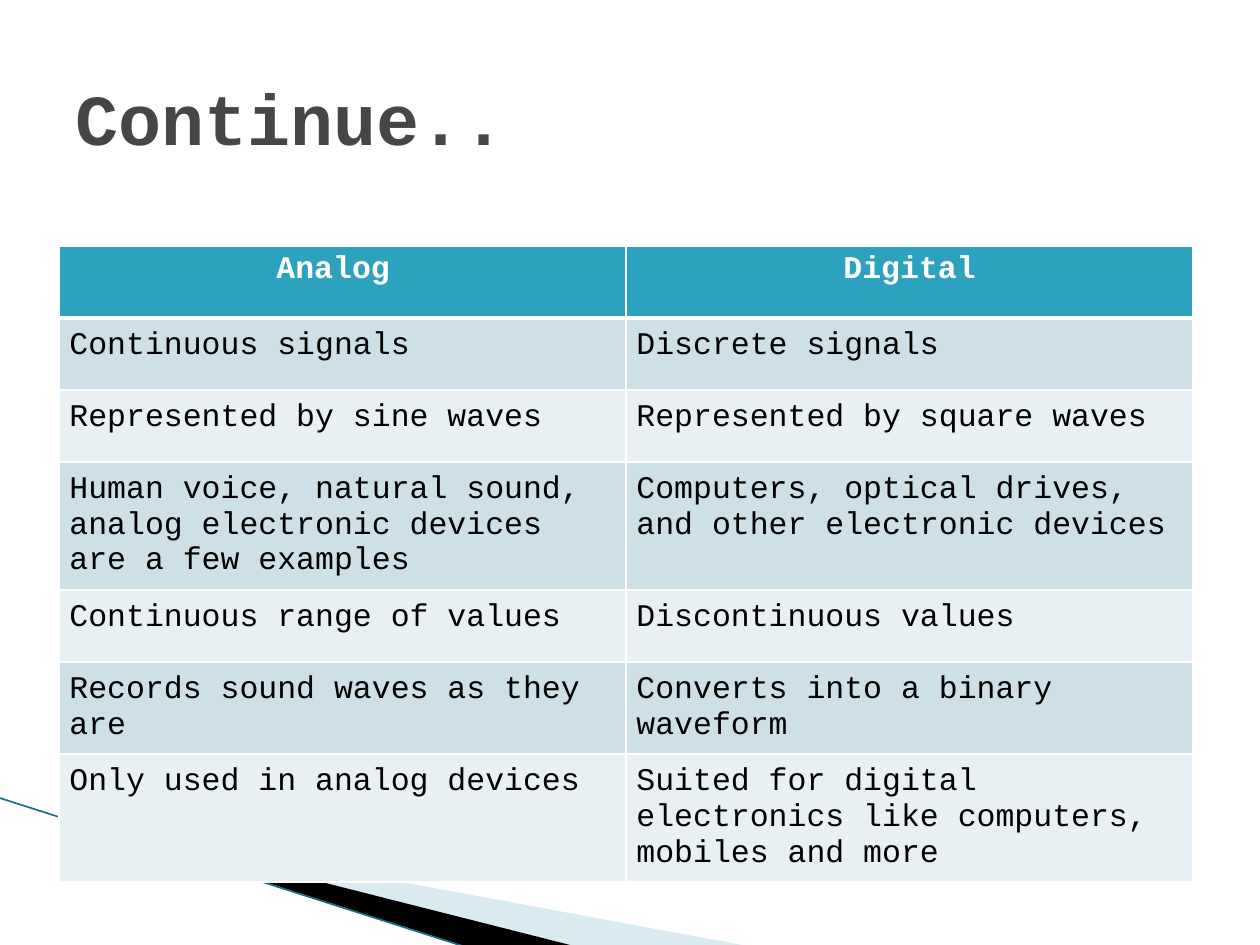
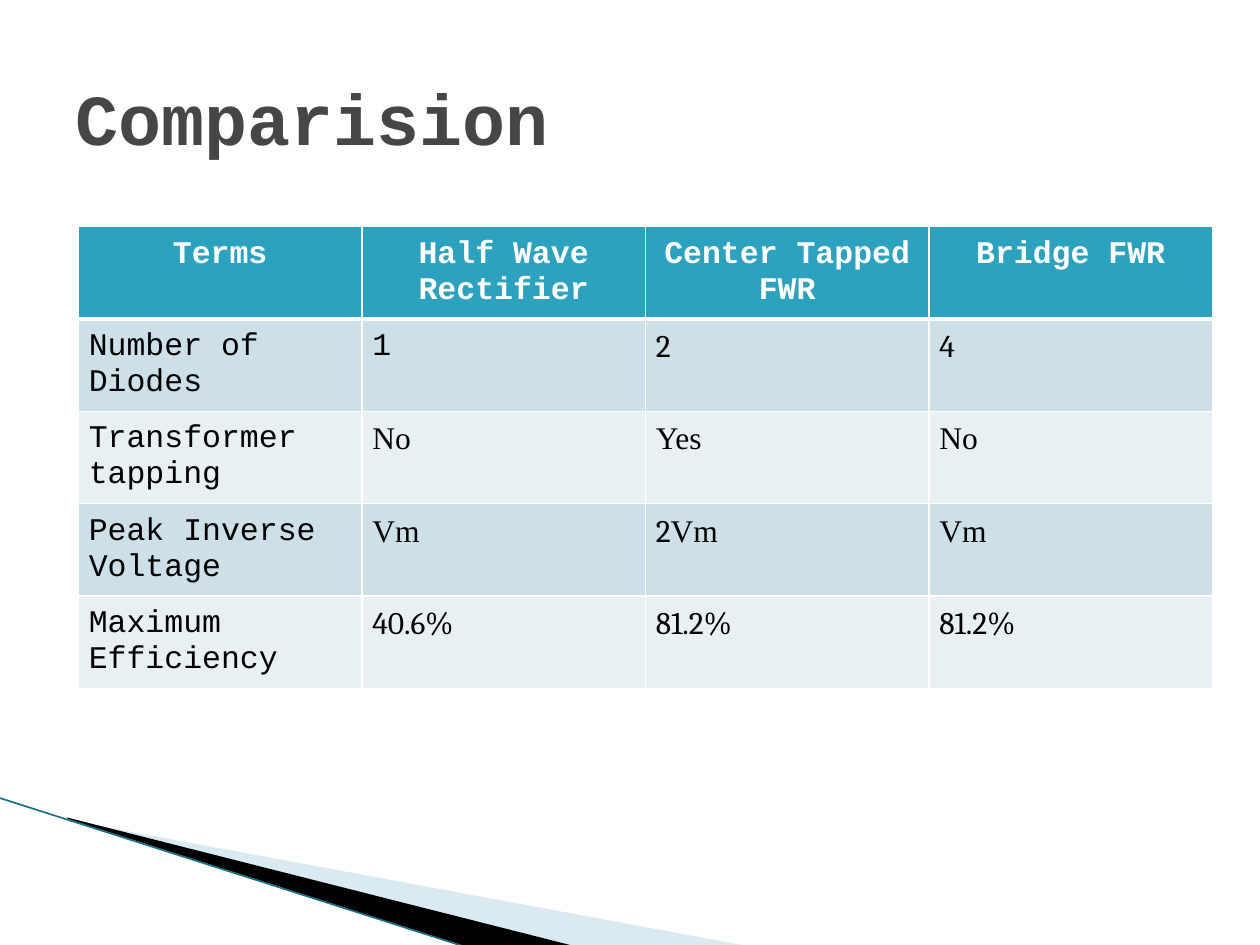
"""Build two comparison-table slides on a shared wedge background."""
from dataclasses import dataclass
from typing import Any, NamedTuple, Union

from lxml.etree import SubElement
from pptx import Presentation
from pptx.dml.color import RGBColor
from pptx.enum.shapes import MSO_CONNECTOR
from pptx.enum.text import MSO_ANCHOR, PP_ALIGN
from pptx.oxml.ns import qn
from pptx.util import Cm, Pt

COLORS = {
    "title": "464646", "header": "2DA2BF", "odd": "CDE0E8", "even": "E8F0F4",
    "white": "FFFFFF", "black": "000000", "wedge": "A0CBDC", "edge": "1B6E83",
}
MONO, SERIF, ROMAN = "Courier New", "Cambria", "Times New Roman"
TITLE_FONT = {"name": MONO, "size": Pt(41), "bold": True}
HEADER_FONT = {"name": MONO, "size": Pt(18), "bold": True}
BODY_FONT = {"name": MONO, "size": Pt(18), "bold": False}
MARGINS = ("margin_left", "margin_right", "margin_top", "margin_bottom")
CELL_INSETS = dict.fromkeys(MARGINS, Cm(0.21))
TIGHT_INSETS = dict(zip(MARGINS, (Cm(0.25), Cm(0.25), Cm(0.13), Cm(0.13))))


class Styled(NamedTuple):
    text: str
    font: str


class Frame(NamedTuple):
    left: float
    top: float
    width: float
    height: float


Cell = Union[str, Styled, list[Styled]]


@dataclass
class Wedge:
    points: list[tuple[float, float]]
    frame: Frame
    color: str
    alpha: int = 100


@dataclass
class TableSlide:
    title: str
    left: float
    top: float
    width: float
    row_heights: list[float]
    rows: list[list[Cell]]
    header_insets: dict[str, Any]


WEDGES = [
    Wedge([(1.4, 16.54), (15.11, 19.08), (11.58, 19.08), (1.4, 16.51)],
          Frame(1.98, 13.89, 10.57, 4.01), "wedge", 40),
    Wedge([(1.35, 16.48), (11.61, 19.08), (9.45, 19.1), (1.37, 16.51)],
          Frame(-0.15, 16.08, 10.57, 2.34), "black"),
]

SLIDES = [
    TableSlide(
        "Continue..", 1.19, 4.96, 22.86, [1.45, 1.45, 1.45, 2.13, 1.45, 1.45, 2.13],
        [
            ["Analog ", "Digital"],
            ["Continuous signals", "Discrete signals"],
            ["Represented by sine waves", "Represented by square waves"],
            ["Human voice, natural sound, analog electronic devices are a few examples",
             "Computers, optical drives, and other electronic devices"],
            ["Continuous range of values", "Discontinuous values"],
            ["Records sound waves as they are", "Converts into a binary waveform"],
            ["Only used in analog devices",
             "Suited for digital electronics like computers, mobiles and more"],
        ],
        TIGHT_INSETS,
    ),
    TableSlide(
        "Comparision", 1.58, 4.57, 22.86, [1.04] * 5,
        [
            ["Terms", "Half Wave Rectifier", "Center Tapped FWR", "Bridge FWR"],
            ["Number of Diodes", "1", Styled("2", SERIF), Styled("4", SERIF)],
            ["Transformer tapping"] + [Styled(t, ROMAN) for t in ("No", "Yes", "No")],
            ["Peak Inverse Voltage", Styled("Vm", ROMAN),
             [Styled("2", SERIF), Styled("Vm", ROMAN)], Styled("Vm", ROMAN)],
            ["Maximum Efficiency"]
            + [Styled(t, SERIF) for t in ("40.6%", "81.2%", "81.2%")],
        ],
        CELL_INSETS,
    ),
]


def rgb(key: str) -> RGBColor:
    return RGBColor.from_string(COLORS[key])


def apply(target: Any, fmt: dict[str, Any]) -> None:
    for name, value in fmt.items():
        setattr(target, name, value)


def add_run(p: Any, text: str, fmt: dict[str, Any], color: str) -> None:
    r = p.add_run()
    r.text = text
    apply(r.font, fmt)
    r.font.color.rgb = rgb(color)


def set_frame(sp: Any, frame: Frame) -> None:
    box = {name: Cm(value) for name, value in frame._asdict().items()}
    dx, dy = sp.left - box["left"], sp.top - box["top"]
    for pt in sp._element.iter(qn("a:pt")):
        pt.set("x", str(int(pt.get("x")) + dx))
        pt.set("y", str(int(pt.get("y")) + dy))
    for outline in sp._element.iter(qn("a:path")):
        outline.set("w", str(box["width"]))
        outline.set("h", str(box["height"]))
    apply(sp, box)


def draw_wedge(s: Any, wedge: Wedge) -> None:
    start, *rest = [(Cm(x), Cm(y)) for x, y in wedge.points]
    builder = s.shapes.build_freeform(*start)
    builder.add_line_segments(rest, close=True)
    sp = builder.convert_to_shape()
    set_frame(sp, wedge.frame)
    sp.shadow.inherit = False
    sp.line.fill.background()
    sp.fill.solid()
    sp.fill.fore_color.rgb = rgb(wedge.color)
    if wedge.alpha < 100:
        clr = sp._element.spPr.find(qn("a:solidFill"))[0]
        SubElement(clr, qn("a:alpha"), val=str(wedge.alpha * 1000))


def draw_background(s: Any) -> None:
    for wedge in WEDGES:
        draw_wedge(s, wedge)
    edge = s.shapes.add_connector(
        MSO_CONNECTOR.STRAIGHT, Cm(-0.03), Cm(16.08), Cm(9.42), Cm(19.1))
    edge.line.color.rgb = rgb("edge")
    edge.line.width = Pt(0.95)
    SubElement(edge._element.spPr, qn("a:effectLst"))


def draw_title(s: Any, text: str) -> None:
    sp = s.shapes.add_textbox(Cm(1.27), Cm(0.76), Cm(22.86), Cm(3.18))
    tf = sp.text_frame
    apply(tf, {"word_wrap": True, "vertical_anchor": MSO_ANCHOR.MIDDLE})
    add_run(tf.paragraphs[0], text, TITLE_FONT, "title")


def set_borders(cell: Any, row: int) -> None:
    widths = {"L": 1, "R": 1, "T": 3 if row == 1 else 1, "B": 3 if row == 0 else 1}
    tc_pr = cell._tc.get_or_add_tcPr()
    for side, width in widths.items():
        ln = SubElement(tc_pr, qn(f"a:ln{side}"), w=str(Pt(width)))
        fill = SubElement(ln, qn("a:solidFill"))
        SubElement(fill, qn("a:srgbClr"), val=COLORS["white"])


def fill_cell(cell: Any, content: Cell, row: int, insets: dict[str, Any]) -> None:
    is_header = row == 0
    apply(cell, insets if is_header else CELL_INSETS)
    set_borders(cell, row)
    cell.fill.solid()
    cell.fill.fore_color.rgb = rgb(
        "header" if is_header else "odd" if row % 2 else "even")
    p = cell.text_frame.paragraphs[0]
    p.alignment = PP_ALIGN.CENTER if is_header else PP_ALIGN.LEFT
    fmt = HEADER_FONT if is_header else BODY_FONT
    color = "white" if is_header else "black"
    if isinstance(content, str):
        content = Styled(content, MONO)
    for part in [content] if isinstance(content, Styled) else content:
        add_run(p, part.text, {**fmt, "name": part.font}, color)


def draw_table(s: Any, spec: TableSlide) -> None:
    n_cols = len(spec.rows[0])
    table = s.shapes.add_table(
        len(spec.rows), n_cols, Cm(spec.left), Cm(spec.top),
        Cm(spec.width), Cm(sum(spec.row_heights))).table
    table.horz_banding = False
    for col in table.columns:
        col.width = Cm(spec.width / n_cols)
    for i, (height, contents) in enumerate(zip(spec.row_heights, spec.rows)):
        table.rows[i].height = Cm(height)
        for j, content in enumerate(contents):
            fill_cell(table.cell(i, j), content, i, spec.header_insets)


def main() -> None:
    prs = Presentation()
    prs.slide_width, prs.slide_height = Cm(25.4), Cm(19.05)
    for spec in SLIDES:
        s = prs.slides.add_slide(prs.slide_layouts[6])
        draw_background(s)
        draw_table(s, spec)
        draw_title(s, spec.title)
    prs.save("out.pptx")


if __name__ == "__main__":
    main()
